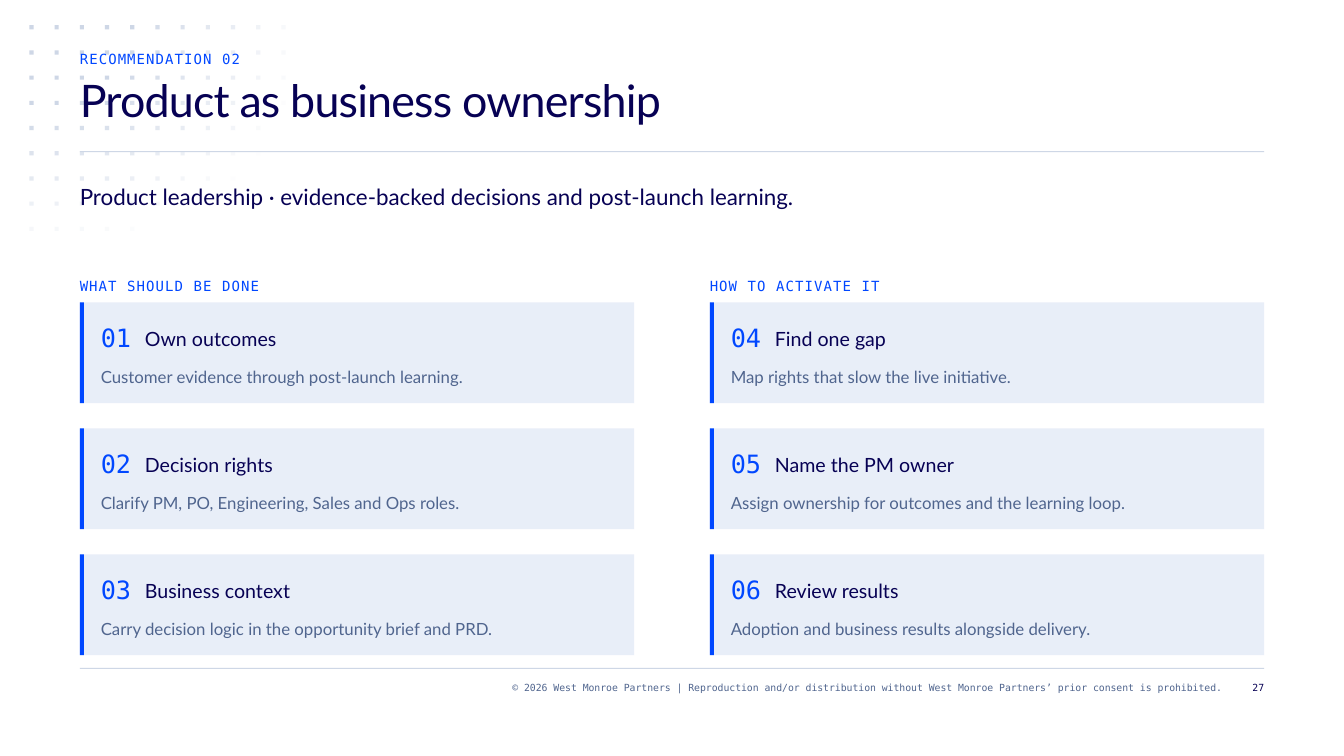
"""Build the slide on product as business ownership."""
from math import hypot

from lxml import etree
from pptx import Presentation, util as u
from pptx.dml.color import RGBColor
from pptx.enum import shapes, text
from pptx.oxml import ns

NAVY = RGBColor(0x07, 0x01, 0x54)
BLUE = RGBColor(0x00, 0x47, 0xFF)
SLATE = RGBColor(0x50, 0x65, 0x8E)
MIST = RGBColor(0xCE, 0xD7, 0xE6)
PALE = RGBColor(0xE8, 0xEE, 0xF8)
SANS = "Lato"
MONO = "DejaVu Sans Mono"
PX = 9525
LEFT = 76
WIDE = 1128
GAP = 24

PARTS = [
    (76, "WHAT SHOULD BE DONE", [
        ("01", "Own outcomes", "Customer evidence through post-launch learning."),
        ("02", "Decision rights", "Clarify PM, PO, Engineering, Sales and Ops roles."),
        ("03", "Business context", "Carry decision logic in the opportunity brief and PRD."),
    ]),
    (676, "HOW TO ACTIVATE IT", [
        ("04", "Find one gap", "Map rights that slow the live initiative."),
        ("05", "Name the PM owner", "Assign ownership for outcomes and the learning loop."),
        ("06", "Review results", "Adoption and business results alongside delivery."),
    ]),
]


def scale(*sides):
    """Turn pixel lengths into EMU."""
    return [u.Emu(side * PX) for side in sides]


def block(tree, x, y, w, h, fill, alpha=100):
    """Draw a plain filled rectangle, see-through below 100 percent."""
    box = tree.add_shape(shapes.MSO_SHAPE.RECTANGLE, *scale(x, y, w, h))
    box.shadow.inherit = False
    box.line.fill.background()
    box.fill.solid()
    box.fill.fore_color.rgb = fill
    if alpha < 100:
        tint = box._element.spPr.find(".//" + ns.qn("a:srgbClr"))
        etree.SubElement(tint, ns.qn("a:alpha"), val=str(alpha * 1000))


def write(tree, words, x, y, w, h, *, size, lead, color=NAVY, font=SANS,
          track=0, align=text.PP_ALIGN.LEFT):
    """Place one line of text in a box without margins."""
    frame = tree.add_textbox(*scale(x, y, w, h)).text_frame
    frame.word_wrap = True
    frame.margin_left = frame.margin_right = 0
    frame.margin_top = frame.margin_bottom = 0
    line = frame.paragraphs[0]
    line.alignment = align
    line.line_spacing = u.Pt(lead)
    run = line.add_run()
    run.text = words
    run.font.size = u.Pt(size)
    run.font.name = font
    run.font.color.rgb = color
    if track:
        run._r.get_or_add_rPr().set("spc", str(track))


def label(tree, words, x, y, w):
    """Write a small spaced heading in blue."""
    write(tree, words, x, y, w, 16, size=10, lead=12, color=BLUE,
          font=MONO, track=80)


def dots(tree):
    """Draw the dot field, fading along an ellipse from the corner."""
    for col in range(11):
        for row in range(9):
            fade = 1.53 * (1 - hypot(col / 11.08, row / 9.08))
            if fade > 0.02:
                block(tree, 28 + GAP * col, GAP + GAP * row, 4, 4, MIST,
                      min(100, round(fade * 100)))


def card(tree, x, y, mark, head, note):
    """Draw one numbered card as a group."""
    group = tree.add_group_shape().shapes
    block(group, x, y, 528, 96, PALE)
    block(group, x, y, 4, 96, BLUE)
    write(group, mark, x + 20, y + 16, 30, 32, size=18, lead=24,
          color=BLUE, font=MONO)
    write(group, head, x + 62, y + 18, 450, 28, size=14, lead=21)
    write(group, note, x + 20, y + 56, 492, 24, size=12, lead=18, color=SLATE)


def foot(tree):
    """Write the copyright line and the page number."""
    style = dict(size=7, lead=9, font=MONO, align=text.PP_ALIGN.RIGHT)
    write(tree, "© 2026 West Monroe Partners | Reproduction and/or distribution "
          "without West Monroe Partners’ prior consent is prohibited.",
          228, 648, 936, 24, color=SLATE, **style)
    write(tree, "27", 1172, 648, 32, 24, **style)


def main():
    """Build and save the slide."""
    deck = Presentation()
    deck.slide_width, deck.slide_height = scale(1280, 720)
    tree = deck.slides.add_slide(deck.slide_layouts[6]).shapes
    dots(tree)
    for y in (144, 636):
        block(tree, LEFT, y, WIDE, 1, MIST)
    label(tree, "RECOMMENDATION 02", LEFT, 48, WIDE)
    write(tree, "Product as business ownership", LEFT, 72, WIDE, 72,
          size=32, lead=36, track=-60)
    write(tree, "Product leadership · evidence-backed decisions and "
          "post-launch learning.", LEFT, 168, WIDE, 32, size=16, lead=24)
    for x, head, cards in PARTS:
        label(tree, head, x, 264, 528)
        for row, words in enumerate(cards):
            card(tree, x, 288 + 120 * row, *words)
    foot(tree)
    deck.save("out.pptx")


if __name__ == "__main__":
    main()
